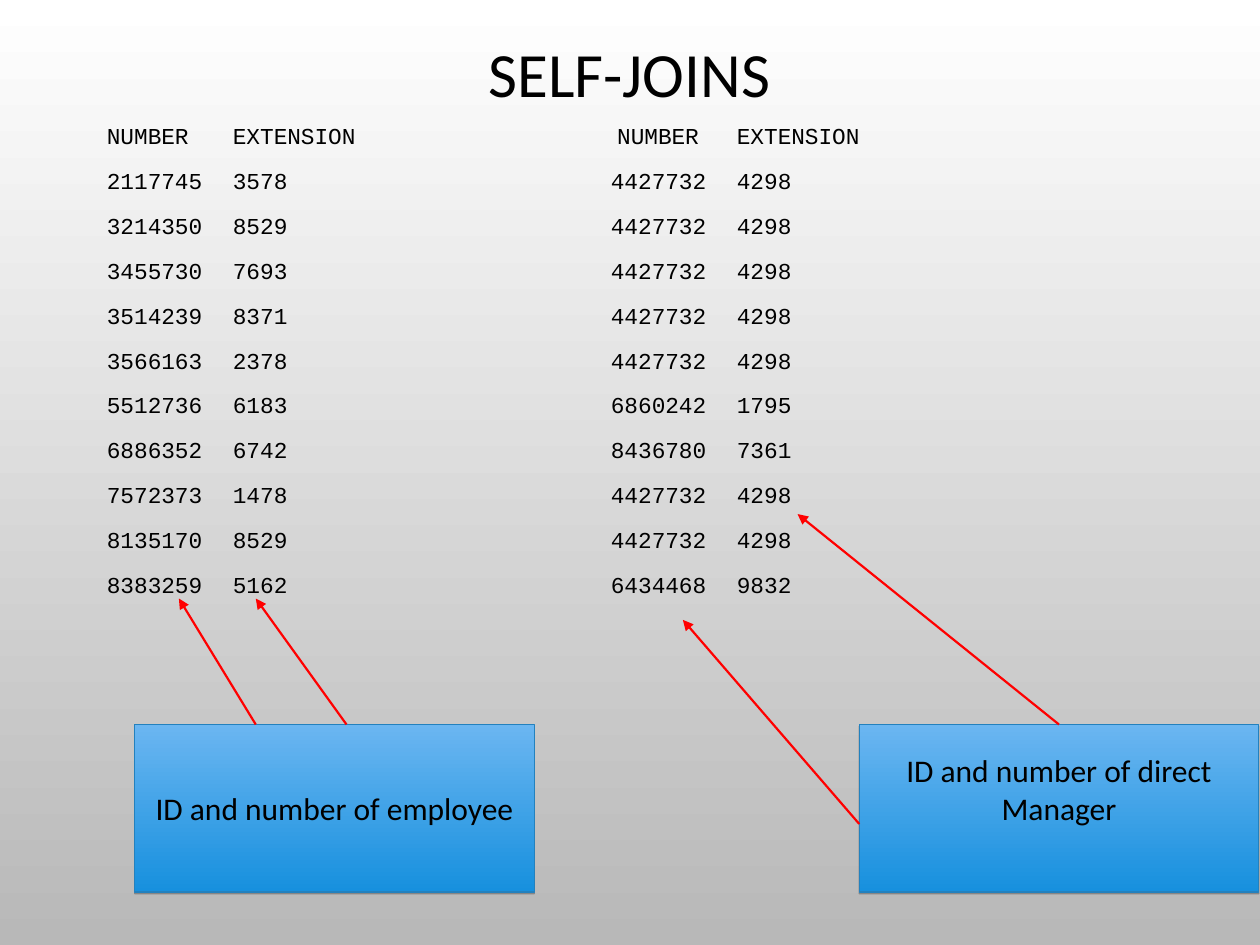
from pptx import Presentation
from pptx.dml.color import RGBColor
from pptx.enum.shapes import MSO_CONNECTOR, MSO_SHAPE
from pptx.enum.text import MSO_ANCHOR, PP_ALIGN
from pptx.oxml import parse_xml
from pptx.oxml.ns import nsdecls, qn
from pptx.util import Inches, Pt
from lxml import etree

TITLE = "SELF-JOINS"
HEADINGS = ("NUMBER", "EXTENSION", "NUMBER", "EXTENSION")
EXTENSIONS = [
    ("2117745", "3578", "4427732", "4298"),
    ("3214350", "8529", "4427732", "4298"),
    ("3455730", "7693", "4427732", "4298"),
    ("3514239", "8371", "4427732", "4298"),
    ("3566163", "2378", "4427732", "4298"),
    ("5512736", "6183", "6860242", "1795"),
    ("6886352", "6742", "8436780", "7361"),
    ("7572373", "1478", "4427732", "4298"),
    ("8135170", "8529", "4427732", "4298"),
    ("8383259", "5162", "6434468", "9832"),
]
ROW_PATTERN = "{}\t{}\t\t\t{}\t{}"
HEADING_TABS = (1, 2, 3, 4.05, 5)
ROW_TABS = (1, 2, 3, 4, 5)
CALLOUTS = [
    {"label": "ID and number of employee", "left": 1.07, "bottom_inset": 0.05,
     "arrows": [((2.03, 5.75), (1.42, 4.75), None),
                ((2.75, 5.75), (2.03, 4.75), None)]},
    {"label": "ID and number of direct Manager", "left": 6.82, "bottom_inset": 0.35,
     "arrows": [((8.4, 5.75), (6.33, 4.08), 0),
                ((6.82, 6.54), (5.42, 4.92), None)]},
]
CALLOUT_TOP, CALLOUT_WIDTH, CALLOUT_HEIGHT = 5.75, 3.17, 1.33

THEME = {
    "text": "000000", "arrow": "FF0000", "outline": "2381BE",
    "background": ("FFFFFF", "B8B8B8"), "callout": ("6BB6F1", "1790DE"),
    "sans": "Calibri", "mono": "Courier New",
    "title_size": 36, "row_size": 13, "label_size": 18, "row_gap": 10,
}


def color(name):
    return RGBColor.from_string(THEME[name])


def shade_down(fill, name):
    fill.gradient()
    fill.gradient_angle = 270
    for stop, shade, position in zip(fill.gradient_stops, THEME[name], (0, 1)):
        stop.color.rgb = RGBColor.from_string(shade)
        stop.position = position


def style(paragraph, face, size):
    for run in paragraph.runs:
        run.font.name = THEME[face]
        run.font.size = Pt(THEME[size])
        run.font.color.rgb = color("text")


def add_title(slide):
    title = slide.shapes.title
    title.left, title.top = Inches(0.75), Inches(-0.11)
    title.width, title.height = Inches(8.49), Inches(1.45)
    title.text_frame.text = TITLE
    title.text_frame.vertical_anchor = MSO_ANCHOR.MIDDLE
    heading = title.text_frame.paragraphs[0]
    heading.alignment = PP_ALIGN.CENTER
    heading.line_spacing = 0.9
    style(heading, "sans", "title_size")


def add_rows(slide):
    listing = slide.shapes.add_textbox(
        Inches(0.75), Inches(0.92), Inches(8.49), Inches(4.04))
    frame = listing.text_frame
    frame.word_wrap = True
    frame.text = "\n".join(ROW_PATTERN.format(*row) for row in [HEADINGS, *EXTENSIONS])
    for index, row in enumerate(frame.paragraphs):
        row.space_before = Pt(THEME["row_gap"] if index else 0)
        tabs = etree.SubElement(row._p.get_or_add_pPr(), qn("a:tabLst"))
        for position in ROW_TABS if index else HEADING_TABS:
            etree.SubElement(tabs, qn("a:tab"), pos=str(Inches(position)), algn="l")
        style(row, "mono", "row_size")


def add_callout(slide, callout):
    box = slide.shapes.add_shape(
        MSO_SHAPE.RECTANGLE, Inches(callout["left"]), Inches(CALLOUT_TOP),
        Inches(CALLOUT_WIDTH), Inches(CALLOUT_HEIGHT))
    shade_down(box.fill, "callout")
    box.line.color.rgb = color("outline")
    box.line.width = Pt(0.75)
    box._element.spPr.append(parse_xml(
        f'<a:effectLst {nsdecls("a")}><a:outerShdw blurRad="0" dist="{Pt(1)}" '
        'dir="5400000" rotWithShape="0"><a:srgbClr val="000000">'
        '<a:alpha val="28000"/></a:srgbClr></a:outerShdw></a:effectLst>'))
    frame = box.text_frame
    frame.text = callout["label"]
    frame.word_wrap = True
    frame.vertical_anchor = MSO_ANCHOR.MIDDLE
    frame.margin_bottom = Inches(callout["bottom_inset"])
    label = frame.paragraphs[0]
    label.alignment = PP_ALIGN.CENTER
    style(label, "sans", "label_size")
    return box


def add_arrow(slide, box, start, end, site):
    arrow = slide.shapes.add_connector(
        MSO_CONNECTOR.STRAIGHT, *(Inches(value) for value in start + end))
    if site is not None:
        arrow.begin_connect(box, site)
    arrow.line.color.rgb = color("arrow")
    arrow.line.width = Pt(1.25)
    etree.SubElement(arrow.line._get_or_add_ln(), qn("a:tailEnd"), type="triangle")
    etree.SubElement(arrow._element.spPr, qn("a:effectLst"))


def main():
    deck = Presentation()
    deck.slide_width, deck.slide_height = Inches(10), Inches(7.5)
    slide = deck.slides.add_slide(deck.slide_layouts[5])
    shade_down(slide.background.fill, "background")
    add_title(slide)
    add_rows(slide)
    for callout in CALLOUTS:
        box = add_callout(slide, callout)
        for start, end, site in callout["arrows"]:
            add_arrow(slide, box, start, end, site)
    deck.save("out.pptx")


if __name__ == "__main__":
    main()
